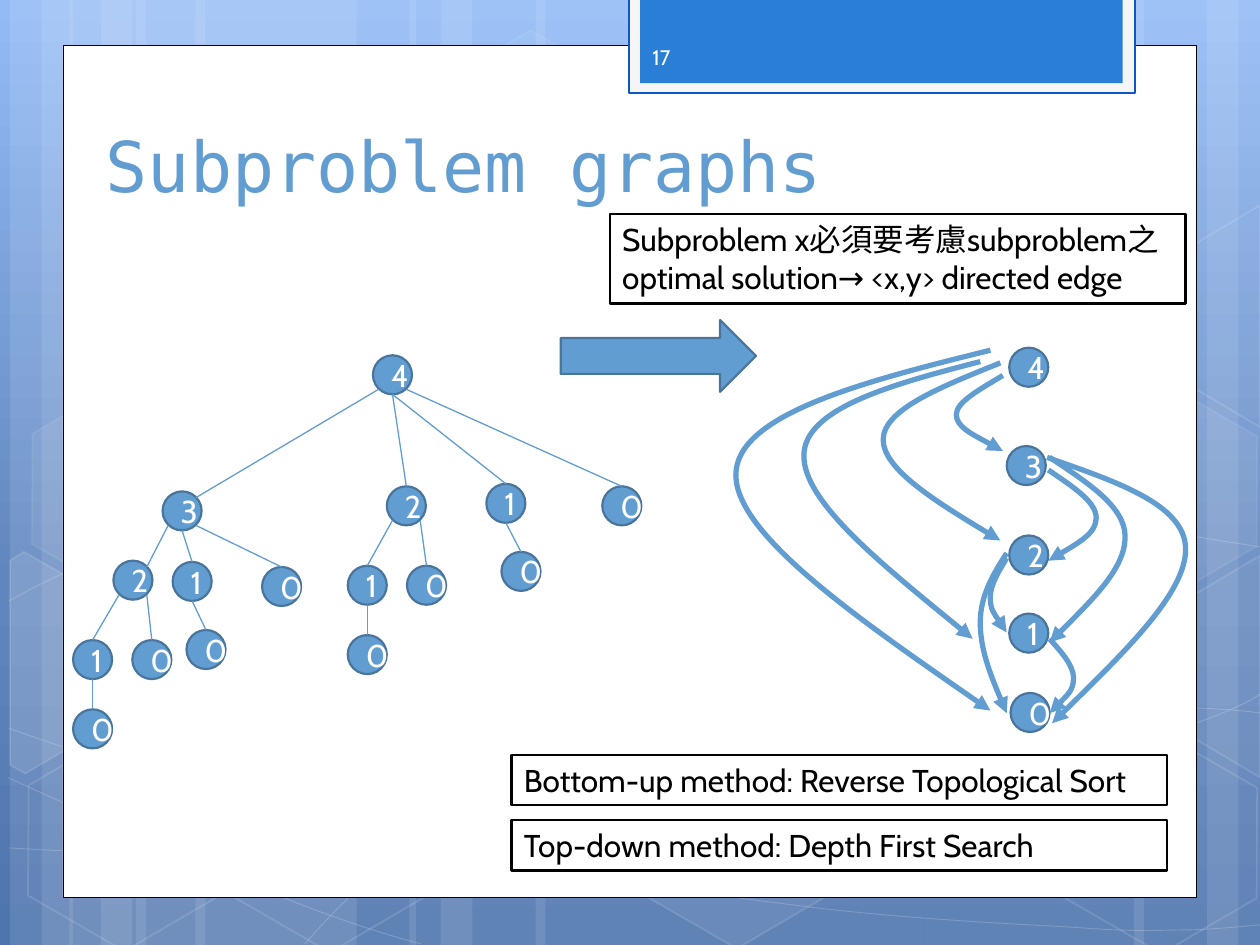
from lxml.etree import SubElement
from copy import deepcopy
from pptx import Presentation
from pptx.dml.color import RGBColor
from pptx.enum.shapes import MSO_CONNECTOR, MSO_SHAPE
from pptx.enum.text import MSO_ANCHOR, PP_ALIGN
from pptx.oxml.ns import qn
from pptx.util import Inches, Pt

HUES = {"white": "FFFFFF", "black": "000000", "node": "629DD1", "rim": "49749B",
        "tab": "297FD5", "frame": "F5F5F5", "edge": "0E58C4", "page": "FEFEFE",
        "sky": "93BBF6", "mid": "6186BE", "deep": "4F75AE"}
RGB = {name: RGBColor.from_string(code) for name, code in HUES.items()}


def paint(shape, fill=None, line=None, width=1.25, clear=None, faint=None):
    """Set fill and line; clear and faint are their opacities in percent."""
    shape.shadow.inherit = False
    if fill:
        shape.fill.solid()
        shape.fill.fore_color.rgb = RGB[fill]
    else:
        shape.fill.background()
    if line:
        shape.line.color.rgb = RGB[line]
        shape.line.width = Pt(width)
    else:
        shape.line.fill.background()
    props = shape.element.spPr
    for place, alpha in (("a:solidFill", clear), ("a:ln/a:solidFill", faint)):
        if alpha:
            for tint in props.xpath(place + "/a:srgbClr"):
                SubElement(tint, qn("a:alpha"), val=str(alpha * 1000))


def curve(points):
    """Draw joined cubic curves: a start, then two controls and an end each."""
    start, *rest = [(Inches(x), Inches(y)) for x, y in points]
    pen = shapes.build_freeform(*start)
    pen.add_line_segments(rest, close=False)
    shape = pen.convert_to_shape()
    steps = shape.element.spPr.xpath(".//a:lnTo")
    for i in range(0, len(steps), 3):
        bend = SubElement(steps[i].getparent(), qn("a:cubicBezTo"))
        for step in steps[i:i + 3]:
            bend.append(step[0])
            step.getparent().remove(step)
    return shape


deck = Presentation()
deck.slide_width, deck.slide_height = Inches(10), Inches(7.5)
slide = deck.slides.add_slide(deck.slide_layouts[5])
shapes = slide.shapes
texts = []

# Background gradient with three stops
back = slide.background.fill
back.gradient()
back.gradient_angle = 270
stops = slide.element.find(".//" + qn("a:gsLst"))
stops.append(deepcopy(stops[-1]))
for stop, (name, spot) in zip(back.gradient_stops, (("sky", 0), ("mid", 0.62), ("deep", 1))):
    stop.color.rgb = RGB[name]
    stop.position = spot

# Pale stripes
for left, width in ((1.08, 1.75), (0.08, 0.5), (0.33, 0.83), (1.55, 1.75), (0.55, 0.5),
                    (0.8, 0.83), (7.33, 1.75), (9.58, 0.42), (9, 0.83), (4.25, 3.08),
                    (3.25, 0.5), (3.5, 0.83)):
    stripe = shapes.add_shape(MSO_SHAPE.RECTANGLE, Inches(left), 0, Inches(width), Inches(7.5))
    paint(stripe, "white", clear=10)

# Fine waves
waves = [
    [(0.07, 6.73), (0.61, 6.76), (1.15, 6.79), (1.9, 6.78), (2.65, 6.77), (3.58, 6.75),
     (4.58, 6.65), (5.58, 6.55), (7, 6.36), (7.92, 6.17), (8.83, 5.98), (9.77, 5.68), (10, 5.51)],
    [(0.07, 4.77), (0.36, 4.61), (0.65, 4.46), (1.21, 4.31), (1.78, 4.16), (2.59, 3.94),
     (3.47, 3.87), (4.36, 3.8), (5.44, 3.79), (6.54, 3.87), (7.64, 3.95), (9.47, 4.26), (10, 4.34)],
    [(0.06, 6.17), (1.27, 6.72), (2.47, 7.27), (3.34, 7.49)],
    [(0.07, 5.78), (0.38, 5.89), (0.7, 6), (1.28, 6.16), (1.86, 6.31), (2.73, 6.56),
     (3.57, 6.73), (4.4, 6.9), (5.45, 7.08), (6.28, 7.18), (7.11, 7.29), (8, 7.33),
     (8.53, 7.36), (9.05, 7.4), (9.19, 7.38), (9.45, 7.38), (9.71, 7.37), (9.89, 7.35), (10, 7.34)],
    [(2.42, 7.49), (2.6, 7.29), (2.78, 7.09), (3.02, 6.91), (3.26, 6.73), (3.6, 6.53),
     (3.88, 6.39), (4.16, 6.25), (4.33, 6.19), (4.7, 6.09), (5.06, 5.99), (5.73, 5.85),
     (6.08, 5.78), (6.44, 5.71), (6.49, 5.71), (6.8, 5.69), (7.11, 5.66), (7.6, 5.63),
     (7.94, 5.62), (8.29, 5.61), (8.86, 5.62), (9.53, 5.62), (9.71, 5.63), (9.88, 5.64), (10, 5.66)],
]
for wave in waves:
    paint(curve(wave), line="white", width=0.5, faint=20)

# Hexagons, whole and cut by the slide's sides
for left, top, clear, faint in ((3.34, 0.36, 4, 8), (4.97, 5.89, 6, 12), (0.11, 5.91, 0, 12),
                                (0.14, 3.12, 7, 8), (1.74, 5.92, 0, 12), (8.34, 5.93, 0, 12),
                                (8.34, 3.14, 7, 8)):
    cell = shapes.add_shape(MSO_SHAPE.HEXAGON, Inches(left), Inches(top), Inches(1.75), Inches(1.52))
    cell.adjustments[0], cell.adjustments[1] = 0.285, 1.155
    cell.rotation = 30
    paint(cell, "white" if clear else None, "white", 1, clear, faint)
right = [(9.26, 4.85), (10, 4.41), (10, 6.17), (9.26, 5.73)]
for corners, clear in (([(0.08, 4.45), (0.19, 4.38), (0.96, 4.82), (0.95, 5.7), (0.2, 6.14),
                         (0.08, 6.07)], 10),
                       (right, 4), ([(x, y - 2.78) for x, y in right], 0)):
    start, *rest = [(Inches(x), Inches(y)) for x, y in corners]
    pen = shapes.build_freeform(*start)
    pen.add_line_segments(rest)
    paint(pen.convert_to_shape(), "white" if clear else None, "white", 1, clear, 12)

# White panel and page tab
for box, fill, line, width in (((0.5, 0.36, 9, 6.76), "white", "black", 0.5),
                               ((4.99, -0.02, 4.02, 0.76), "frame", "edge", 1.25),
                               ((5.08, -0.02, 3.83, 0.68), "tab", None, 0)):
    panel = shapes.add_shape(MSO_SHAPE.RECTANGLE, *[Inches(v) for v in box])
    paint(panel, fill, line, width)

# Title, raised above the panel, and page number
title = shapes.title
title.element.getparent().append(title.element)
title.left, title.top, title.width, title.height = [Inches(v) for v in (0.74, 0.68, 7.68, 1.01)]
texts.append((title, "Subproblem graphs", "title"))
page = shapes.add_textbox(*[Inches(v) for v in (5.08, 0.25, 1.46, 0.4)])
texts.append((page, "17", "page"))

# Call tree: digit, left, top, parent, side it leaves from, side it meets
SIZE = 0.31
tree = [(4, 2.96, 2.82, None, 0, 0),
        (3, 1.29, 3.9, 0, -1, 1), (2, 3.07, 3.86, 0, 0, 0),
        (1, 3.86, 3.84, 0, 0, 0), (0, 4.78, 3.86, 0, 1, 0),
        (2, 0.9, 4.45, 1, -1, 1), (1, 1.37, 4.46, 1, 0, 0), (0, 2.08, 4.5, 1, 1, 0),
        (1, 2.76, 4.49, 2, -1, 0), (0, 3.23, 4.49, 2, 1, 0), (0, 3.98, 4.38, 3, 0, 0),
        (1, 0.58, 5.08, 5, -1, 0), (0, 1.05, 5.08, 5, 1, 0), (0, 1.48, 5, 6, 0, 0),
        (0, 2.76, 5.04, 8, 0, 0), (0, 0.58, 5.63, 11, 0, 0)]
graph = [(4, 8.01, 2.76), (3, 7.99, 3.54), (2, 8.01, 4.25), (1, 8.01, 4.87), (0, 8.02, 5.5)]
nodes = []
for digit, left, top, *_ in tree + graph:
    node = shapes.add_shape(MSO_SHAPE.OVAL, Inches(left), Inches(top), Inches(SIZE), Inches(SIZE))
    paint(node, "node", "rim")
    nodes.append(node)
    texts.append((node, str(digit), "node"))

for node, (_, left, top, parent, out, into) in zip(nodes[1:], tree[1:]):
    _, x, y, *_ = tree[parent]
    ends = (x + SIZE / 2 + 0.11 * out, y + (0.27 if out else SIZE),
            left + SIZE / 2 + 0.11 * into, top + (0.05 if into else 0))
    link = shapes.add_connector(MSO_CONNECTOR.STRAIGHT, *[Inches(v) for v in ends])
    if into == 0:
        link.end_connect(node, 0)
    link.line.color.rgb = RGB["node"]
    link.line.width = Pt(0.75)
    SubElement(link.element.spPr, qn("a:effectLst"))

# Curved arrows of the subproblem graph
arcs = [
    [(7.96, 2.98), (7.78, 3.09), (7.59, 3.19), (7.59, 3.29), (7.59, 3.39), (7.78, 3.48), (7.96, 3.58)],
    [(7.94, 2.88), (7.47, 3.07), (7.01, 3.25), (7.01, 3.49), (7.01, 3.72), (7.47, 4.01), (7.94, 4.29)],
    [(7.78, 2.87), (7.08, 3.05), (6.39, 3.24), (6.38, 3.61), (6.37, 3.98), (7.05, 4.52), (7.72, 5.07)],
    [(7.86, 2.78), (6.85, 3.03), (5.84, 3.29), (5.84, 3.77), (5.84, 4.24), (6.85, 4.94), (7.86, 5.64)],
    [(8.33, 3.63), (8.63, 3.83), (8.93, 4.02), (8.93, 4.26), (8.93, 4.51), (8.63, 4.8), (8.33, 5.1)],
    [(8.32, 3.73), (8.51, 3.86), (8.7, 3.98), (8.7, 4.11), (8.7, 4.23), (8.51, 4.34), (8.32, 4.45)],
    [(8.31, 3.63), (8.85, 3.82), (9.4, 4), (9.41, 4.35), (9.42, 4.7), (8.88, 5.22), (8.35, 5.74)],
    [(7.99, 4.43), (7.93, 4.53), (7.86, 4.64), (7.86, 4.74), (7.86, 4.84), (7.93, 4.93), (7.99, 5.02)],
    [(7.99, 4.39), (7.88, 4.56), (7.78, 4.73), (7.78, 4.94), (7.78, 5.15), (7.88, 5.41), (7.99, 5.66)],
    [(8.33, 5.07), (8.42, 5.17), (8.52, 5.28), (8.52, 5.38), (8.52, 5.48), (8.42, 5.57), (8.33, 5.66)],
]
for points in arcs:
    arc = curve(points)
    paint(arc, line="node", width=3)
    SubElement(arc.element.spPr.find(qn("a:ln")), qn("a:tailEnd"), type="triangle")

# Block arrow and boxed notes
arrow = shapes.add_shape(MSO_SHAPE.RIGHT_ARROW, *[Inches(v) for v in (4.45, 2.54, 1.55, 0.57)])
paint(arrow, "node", "rim")
for box, text in (((4.06, 5.99, 5.2, 0.4), "Bottom-up method: Reverse Topological Sort"),
                  ((4.84, 1.7, 4.57, 0.71),
                   "Subproblem x必須要考慮subproblem之optimal solution→ <x,y> directed edge"),
                  ((4.06, 6.51, 5.2, 0.4), "Top-down method: Depth First Search")):
    note = shapes.add_shape(MSO_SHAPE.RECTANGLE, *[Inches(v) for v in box])
    paint(note, "white", "black")
    texts.append((note, text, "note"))

# Text styles: font name, size, colour, alignment, anchor
styles = {"title": ("DejaVu Sans Mono", 40, "node", PP_ALIGN.LEFT, MSO_ANCHOR.BOTTOM),
          "page": ("Cabin", 12, "page", PP_ALIGN.LEFT, MSO_ANCHOR.MIDDLE),
          "node": ("Cabin", 18, "white", PP_ALIGN.CENTER, MSO_ANCHOR.MIDDLE),
          "note": ("Cabin", 18, "black", PP_ALIGN.LEFT, MSO_ANCHOR.TOP)}
for shape, text, style in texts:
    face, size, hue, align, anchor = styles[style]
    frame = shape.text_frame
    frame.text = text
    line = frame.paragraphs[0]
    line.font.color.rgb = RGB[hue]
    for item, values in ((frame, {"word_wrap": True, "vertical_anchor": anchor}),
                         (line, {"alignment": align}),
                         (line.font, {"name": face, "size": Pt(size)})):
        for key, value in values.items():
            setattr(item, key, value)

deck.save("out.pptx")
